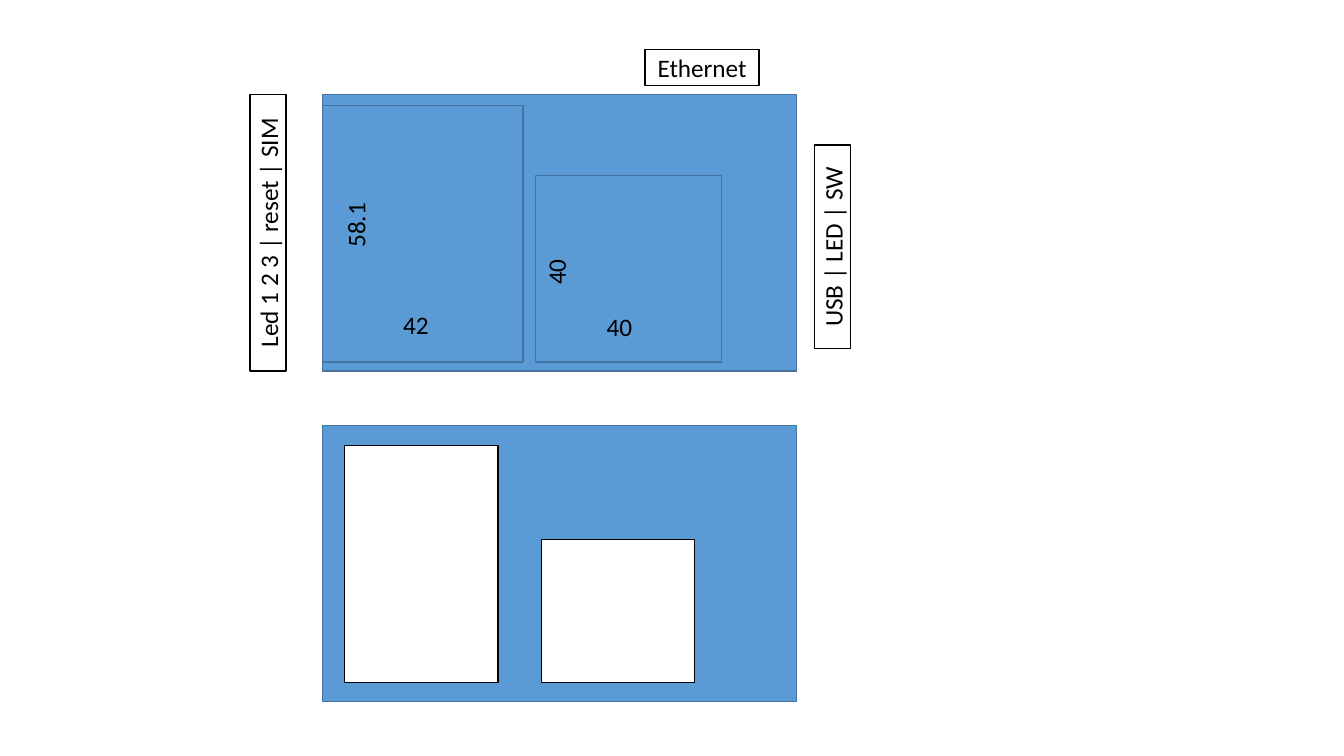
"""Draw a board layout: top view with modules and port tags, and a cut-out view."""
from dataclasses import dataclass

from pptx import Presentation
from pptx.dml.color import RGBColor
from pptx.enum.shapes import MSO_SHAPE
from pptx.enum.text import MSO_ANCHOR, MSO_AUTO_SIZE, PP_ALIGN
from pptx.shapes.group import GroupShape
from pptx.shapes.shapetree import SlideShapes
from pptx.text.text import TextFrame
from pptx.util import Inches, Pt

RECT = MSO_SHAPE.RECTANGLE
MIDDLE = MSO_ANCHOR.MIDDLE
CENTER = PP_ALIGN.CENTER
GROW = MSO_AUTO_SIZE.SHAPE_TO_FIT_TEXT

COLS, ROWS = 133.33, 75
CELL = Inches(0.1)
FONT, SIZE = "Calibri", Pt(18)
HEX = {"board": "5B9BD5", "edge": "43739E", "paper": "FFFFFF", "ink": "000000"}

BOARD_X, BOARD_W, BOARD_H = 32, 47, 27.4
TOP_Y, CUT_Y = 9.4, 42.2
MARK_W, MARK_H = 9.7, 4
TAG_H = 3.6
HOLE_W, HOLE_END = 15.2, 67.7


@dataclass(frozen=True)
class Box:
    x: float
    y: float
    w: float
    h: float
    fill: str = "board"
    line: str = "edge"
    text: str = ""
    turn: int = 0


@dataclass(frozen=True)
class Mark:
    x: float
    y: float
    text: str
    turn: int = 0


@dataclass(frozen=True)
class Module:
    body: Box
    marks: tuple[Mark, ...]


def tag(x: float, y: float, w: float, text: str, turn: int = 0) -> Box:
    return Box(x, y, w, TAG_H, "paper", "ink", text, turn)


def hole(x: float, h: float) -> Box:
    return Box(x, HOLE_END - h, HOLE_W, h, "paper", "ink")


MODULES = (
    Module(
        Box(BOARD_X, 10.5, 19.9, 25.4),
        (Mark(30.4, 18.7, "58.1", 270), Mark(39, 30.2, "42")),
    ),
    Module(
        Box(53.1, 17.4, 18.5, 18.5),
        (Mark(59.2, 30.4, "40"), Mark(50.3, 22.4, "40", 270)),
    ),
)
TAGS = (
    tag(12.9, 21.3, BOARD_H, "Led 1 2 3 | reset | SIM", 270),
    tag(72.5, 22.7, 20.2, "USB | LED | SW", 270),
    tag(64, 4.9, 11.3, "Ethernet"),
)
HOLES = (hole(34.2, 23.5), hole(53.7, 14.2))


def span(*cells: float) -> list[int]:
    return [round(n * CELL) for n in cells]


def tint(name: str) -> RGBColor:
    return RGBColor.from_string(HEX[name])


def write(frame: TextFrame, text: str) -> None:
    run = frame.paragraphs[0].add_run()
    run.text = text
    run.font.name = FONT
    run.font.size = SIZE
    run.font.color.rgb = tint("ink")


def draw_box(shapes: SlideShapes, box: Box) -> None:
    shape = shapes.add_shape(RECT, *span(box.x, box.y, box.w, box.h))
    shape.shadow.inherit = False
    shape.rotation = box.turn
    shape.fill.solid()
    shape.fill.fore_color.rgb = tint(box.fill)
    shape.line.color.rgb = tint(box.line)
    shape.line.width = Pt(1)
    if box.text:
        frame = shape.text_frame
        frame.word_wrap = True
        frame.vertical_anchor = MIDDLE
        frame.paragraphs[0].alignment = CENTER
        write(frame, box.text)


def draw_mark(shapes: SlideShapes, mark: Mark) -> None:
    label = shapes.add_textbox(*span(mark.x, mark.y, MARK_W, MARK_H))
    label.rotation = mark.turn
    frame = label.text_frame
    frame.word_wrap = True
    frame.auto_size = GROW
    write(frame, mark.text)


def draw_module(shapes: SlideShapes, module: Module) -> None:
    group: GroupShape = shapes.add_group_shape()
    draw_box(group.shapes, module.body)
    for mark in module.marks:
        draw_mark(group.shapes, mark)


def main() -> None:
    deck = Presentation()
    deck.slide_width, deck.slide_height = span(COLS, ROWS)
    shapes = deck.slides.add_slide(deck.slide_layouts[6]).shapes
    draw_box(shapes, Box(BOARD_X, TOP_Y, BOARD_W, BOARD_H))
    for module in MODULES:
        draw_module(shapes, module)
    for box in (*TAGS, Box(BOARD_X, CUT_Y, BOARD_W, BOARD_H), *HOLES):
        draw_box(shapes, box)
    deck.save("out.pptx")


if __name__ == "__main__":
    main()
